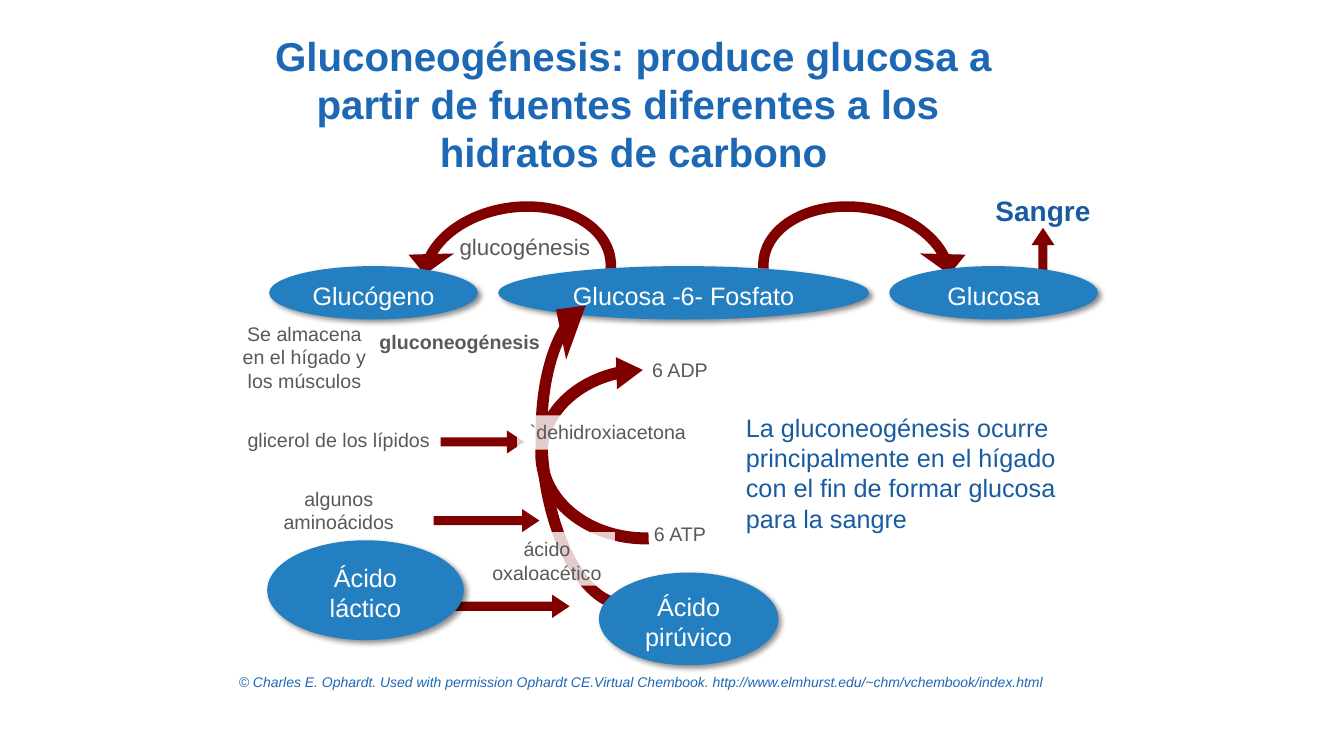
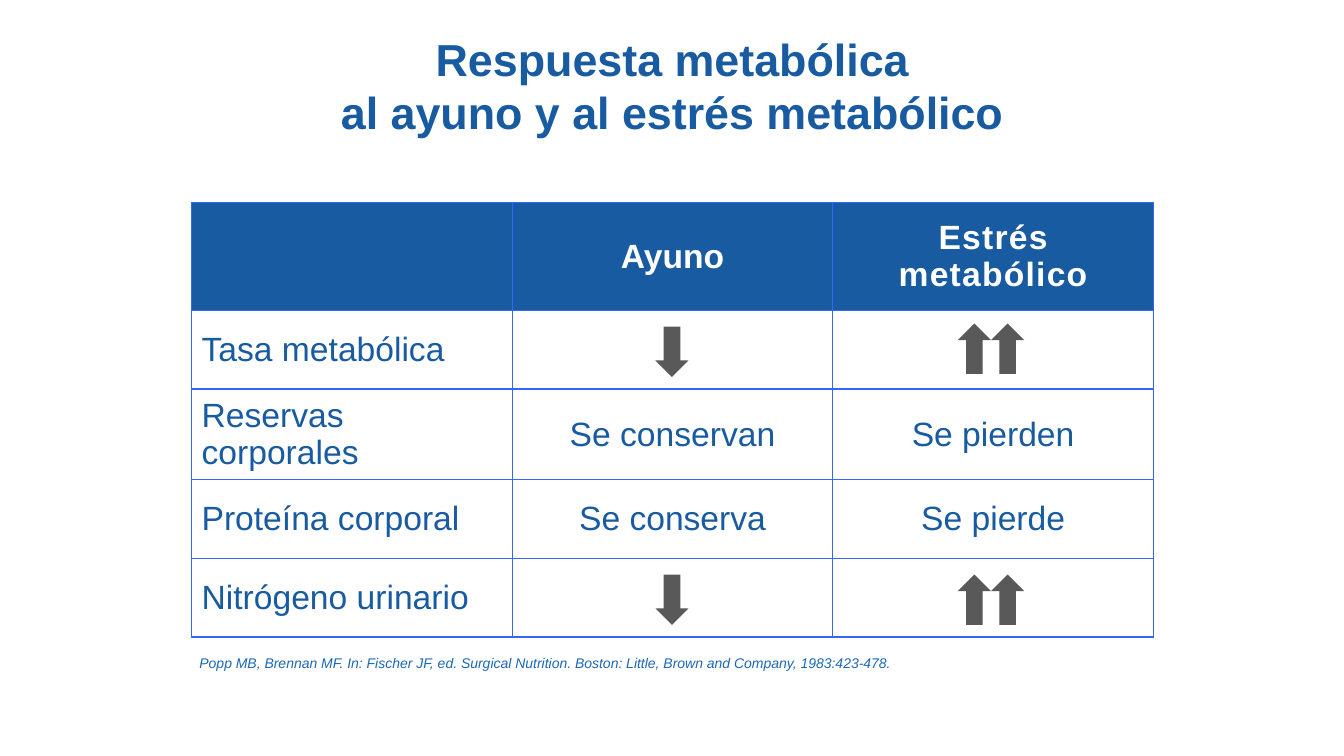
import pptx
import pptx.dml.color
import pptx.enum.shapes
import pptx.enum.text
import pptx.oxml
import pptx.oxml.ns
import pptx.util
import lxml.etree

Inches = pptx.util.Inches
Pt = pptx.util.Pt
color = pptx.dml.color.RGBColor.from_string
qn = pptx.oxml.ns.qn
KIND = pptx.enum.shapes.MSO_SHAPE
ALIGN = pptx.enum.text.PP_ALIGN
ANCHOR = pptx.enum.text.MSO_ANCHOR

FONT = "Arial"
NAVY, BLUE, OVAL_BLUE = "185BA1", "1D68B4", "247FC1"
GRAY, MAROON, WHITE, BORDER = "595959", "800000", "FFFFFF", "3366FF"


def draw(shapes, kind, place, fill):
    shape = shapes.add_shape(kind, *map(Inches, place))
    shape.shadow.inherit = False
    shape.fill.solid()
    shape.fill.fore_color.rgb = color(fill)
    shape.line.fill.background()
    return shape


def write(frame, text, size, ink, bold=False, italic=False, align=ALIGN.CENTER, anchor=ANCHOR.TOP):
    frame.word_wrap = True
    frame.vertical_anchor = anchor
    frame.text = text
    for para in frame.paragraphs:
        para.alignment = align
        para.font.name = FONT
        para.font.size = Pt(size)
        para.font.bold = bold
        para.font.italic = italic
        para.font.color.rgb = color(ink)


deck = pptx.Presentation()
deck.slide_width, deck.slide_height = Inches(13.33), Inches(7.5)
blank = deck.slide_layouts[6]
cycle_page = deck.slides.add_slide(blank)
table_page = deck.slides.add_slide(blank)

titles = [
    (cycle_page, (2.12, 0.36, 8.33, 1.33), 28.8, BLUE,
     "Gluconeogénesis: produce glucosa a partir de fuentes diferentes a los \vhidratos de carbono"),
    (table_page, (2.21, 0.18, 8.92, 1.33), 32, NAVY,
     "Respuesta metabólica\val ayuno y al estrés metabólico"),
]
for page, place, size, ink, text in titles:
    box = page.shapes.add_textbox(*map(Inches, place))
    write(box.text_frame, text, size, ink, bold=True, anchor=ANCHOR.MIDDLE)

sources = [
    (cycle_page, (2.27, 6.63, 10.69, 0.27),
     "© Charles E. Ophardt. Used with permission Ophardt CE.Virtual Chembook. "
     "http://www.elmhurst.edu/~chm/vchembook/index.html"),
    (table_page, (1.88, 6.44, 7.36, 0.27),
     "Popp MB, Brennan MF. In: Fischer JF, ed. Surgical Nutrition. "
     "Boston: Little, Brown and Company, 1983:423-478."),
]
for page, place, text in sources:
    box = page.shapes.add_textbox(*map(Inches, place))
    write(box.text_frame, text, 10, BLUE, italic=True, align=ALIGN.LEFT)

wide_arc = (0.06, 7.97, 204.05, 104.44, 0.13)
tight_arc = (0.06, 10.77, 204.05, 106.83, 0.08)
straight = (0.39, 0.75)
arc, arrow, oval = KIND.CIRCULAR_ARROW, KIND.RIGHT_ARROW, KIND.OVAL
diagram = [
    (arc, (7.34, 1.83, 2.31, 1.74), 8.1, wide_arc, ""),
    (arc, (3.98, 1.83, 2.31, 1.74), 351.9, wide_arc, "flip"),
    (arrow, (9.92, 2.57, 0.85, 0.23), 270, straight, ""),
    (oval, (4.94, 2.64, 3.68, 0.53), 0, (), "Glucosa -6- Fosfato"),
    (oval, (2.67, 2.64, 2.07, 0.53), 0, (), "Glucógeno"),
    (oval, (8.82, 2.64, 2.07, 0.53), 0, (), "Glucosa"),
    (arc, (4.33, 3.51, 3.54, 1.95), 265.3, wide_arc, ""),
    (oval, (5.94, 5.68, 1.78, 0.92), 0, (), "Ácido pirúvico"),
    (arc, (5.41, 3.31, 1.99, 2.39), 270, tight_arc, ""),
    (arrow, (4.37, 4.27, 0.83, 0.23), 0, straight, ""),
    (arrow, (4.3, 5.05, 1.05, 0.23), 0, straight, ""),
    (arrow, (4.22, 5.9, 1.43, 0.23), 0, straight, ""),
    (oval, (2.65, 5.36, 1.95, 0.99), 0, (), "Ácido láctico"),
]
for kind, place, turn, bends, text in diagram:
    shape = draw(cycle_page.shapes, kind, place, OVAL_BLUE if kind == oval else MAROON)
    shape.rotation = turn
    for index, bend in enumerate(bends):
        shape.adjustments[index] = bend
    if text == "flip":
        shape._element.spPr.find(qn("a:xfrm")).set("flipH", "1")
    if kind == oval:
        frame = shape.text_frame
        frame.margin_left = frame.margin_right = Inches(0.1)
        frame.margin_top, frame.margin_bottom = Inches(0.05), 0
        write(frame, text, 18, WHITE, anchor=ANCHOR.MIDDLE)
        effects = shape._element.spPr.find(qn("a:effectLst"))
        shadow = lxml.etree.SubElement(effects, qn("a:outerShdw"), blurRad=str(Pt(4)),
                                       dist=str(Pt(3)), dir="2700000", algn="tl", rotWithShape="0")
        tint = lxml.etree.SubElement(shadow, qn("a:srgbClr"), val="000000")
        lxml.etree.SubElement(tint, qn("a:alpha"), val="43000")

labels = [
    ((4.34, 2.26, 1.73, 0.34), "glucogénesis", 16, GRAY, False),
    ((3.5, 3.22, 2.12, 0.34), "gluconeogénesis", 14, GRAY, True),
    ((6.33, 3.5, 0.83, 0.31), "6 ADP", 14, GRAY, False),
    ((6.33, 5.13, 0.83, 0.31), "6 ATP", 14, GRAY, False),
    ((2.27, 4.2, 2.18, 0.31), "glicerol de los lípidos", 14, GRAY, False),
    ((2.42, 4.78, 1.88, 0.31), "algunos aminoácidos", 14, GRAY, False),
    ((9.48, 1.87, 1.73, 0.41), "Sangre", 20, NAVY, True),
    ((2.27, 3.14, 1.5, 1), "Se almacena\nen el hígado y los músculos", 14, GRAY, False),
]
for place, text, size, ink, bold in labels:
    box = cycle_page.shapes.add_textbox(*map(Inches, place))
    write(box.text_frame, text, size, ink, bold)

veiled_labels = [
    ((5.13, 4.12, 1.8, 0.34), "`dehidroxiacetona"),
    ((4.75, 5.28, 1.35, 0.53), "ácido oxaloacético"),
]
for place, text in veiled_labels:
    veil = draw(cycle_page.shapes, KIND.RECTANGLE, place, WHITE)
    tint = veil._element.spPr.find(qn("a:solidFill")).find(qn("a:srgbClr"))
    lxml.etree.SubElement(tint, qn("a:alpha"), val="80000")
    write(veil.text_frame, text, 14, GRAY)

box = cycle_page.shapes.add_textbox(*map(Inches, (7.3, 4.04, 3.53, 1.22)))
write(box.text_frame, "La gluconeogénesis ocurre principalmente en el hígado "
      "con el fin de formar glucosa para la sangre", 18, NAVY, align=ALIGN.LEFT)

rows = [
    ("", "Ayuno", "Estrés\nmetabólico"),
    ("Tasa metabólica", "", ""),
    ("Reservas corporales", "Se conservan", "Se pierden"),
    ("Proteína corporal", "Se conserva", "Se pierde"),
    ("Nitrógeno urinario", "", ""),
]
table = table_page.shapes.add_table(5, 3, *map(Inches, (1.9, 2.01, 9.54, 4.19))).table
for column in table.columns:
    column.width = Inches(3.18)
for row_index, texts in enumerate(rows):
    header = row_index == 0
    table.rows[row_index].height = Inches(1.07 if header else 0.78)
    for column_index, text in enumerate(texts):
        cell = table.cell(row_index, column_index)
        write(cell.text_frame, text, 24, WHITE if header else NAVY, bold=header,
              align=ALIGN.CENTER if header or column_index else ALIGN.LEFT)
        cell.vertical_anchor = ANCHOR.MIDDLE
        properties = cell._tc.get_or_add_tcPr()
        for side in ("a:lnL", "a:lnR", "a:lnT", "a:lnB"):
            edge = lxml.etree.SubElement(properties, qn(side), w=str(Pt(1)))
            paint = lxml.etree.SubElement(edge, qn("a:solidFill"))
            lxml.etree.SubElement(paint, qn("a:srgbClr"), val=BORDER)
        if header:
            cell.fill.solid()
            cell.fill.fore_color.rgb = color(NAVY)
        else:
            cell.fill.background()
for para in table.cell(0, 2).text_frame.paragraphs:
    for span in para.runs:
        span._r.get_or_add_rPr().set("spc", "90")

for down_top, up_top in ((3.24, 3.21), (5.7, 5.7)):
    draw(table_page.shapes, KIND.DOWN_ARROW, (6.5, down_top, 0.33, 0.5), GRAY)
    pair = table_page.shapes.add_group_shape()
    for left in (9.5, 9.83):
        draw(pair.shapes, KIND.UP_ARROW, (left, up_top, 0.33, 0.5), GRAY)

deck.save("out.pptx")
